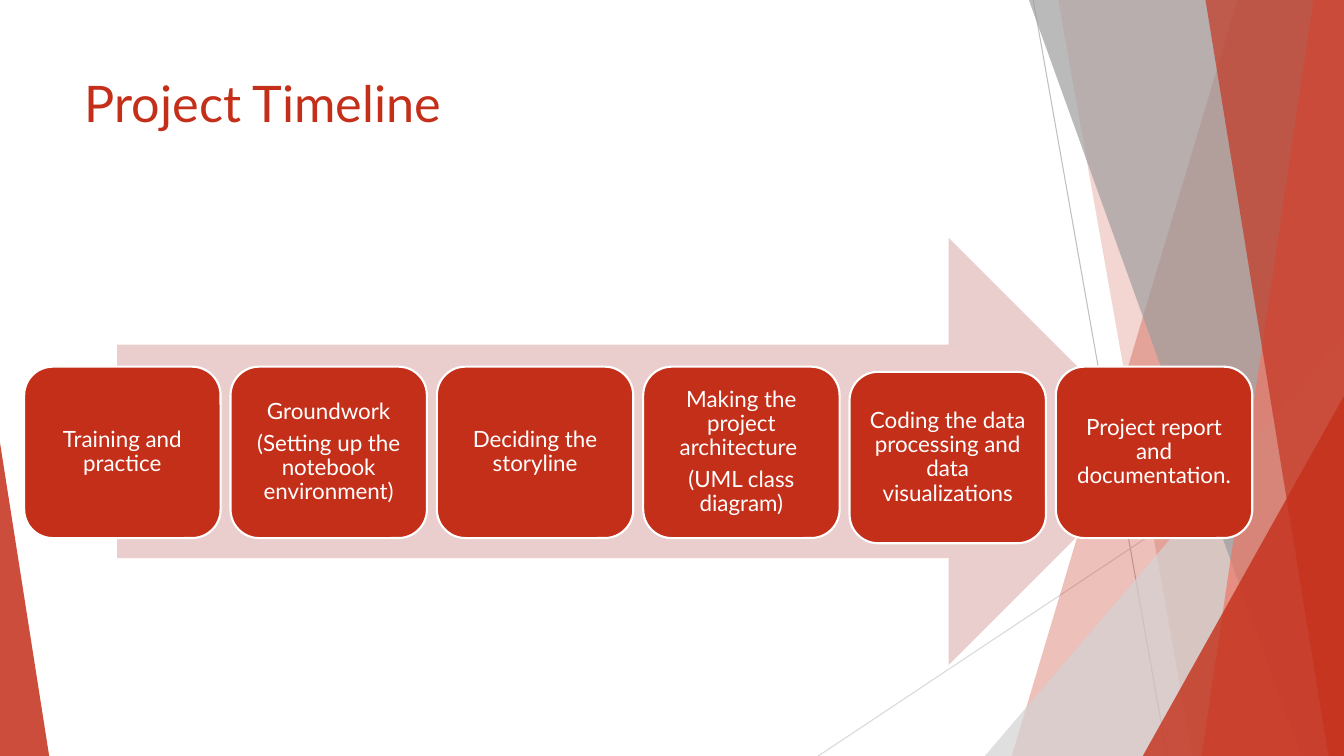
import lxml.etree
import pptx
import pptx.dml.color
import pptx.enum.shapes
import pptx.enum.text
import pptx.oxml.ns
import pptx.util

Cm = pptx.util.Cm
SHAPES = pptx.enum.shapes.MSO_SHAPE

WIDTH, HEIGHT = 33.87, 19.05
FONT = "Lato"
COLORS = {
    "red": "C42F1A",
    "salmon": "EB7766",
    "pink": "EACDCD",
    "grey": "9E9E9E",
    "light grey": "D3D3D3",
    "steep line": "BFBFBF",
    "flat line": "D9D9D9",
    "white": "FFFFFF",
}

# Facets reaching the right edge: top x, bottom x, colour, opacity in percent
BACK_FACETS = [(31.19, 25.5, "red", 30), (26.67, 30.05, "red", 20)]
FRONT_FACETS = [
    (25.93, 32.79, "grey", 70),
    (33.1, 30.28, "salmon", 70),
    (30.38, 33.48, "red", 65),
]

# Paragraphs of each step, and how far its box is lowered
STEPS = [
    (["Training and practice"], 0),
    (["Groundwork", "(Setting up the notebook environment)"], 0),
    (["Deciding the storyline"], 0),
    (["Making the project architecture ", "(UML class diagram)"], 0),
    (["Coding the data processing and data visualizations"], 0.13),
    (["Project report and documentation."], 0),
]
STEP_LEFT, STEP_TOP, STEP_PITCH = 0.61, 9.24, 5.2
STEP_WIDTH, STEP_HEIGHT = 4.95, 4.32


class TimelineSlide:
    def __init__(self, slide):
        self.slide = slide
        self.shapes = slide.shapes

    def color(self, name):
        return pptx.dml.color.RGBColor.from_string(COLORS[name])

    def paint(self, shape, color, opacity=100):
        shape.shadow.inherit = False
        shape.fill.solid()
        shape.fill.fore_color.rgb = self.color(color)
        shape.line.fill.background()
        if opacity < 100:
            fill_color = shape.element.spPr.xpath("./a:solidFill/a:srgbClr")[0]
            alpha = lxml.etree.SubElement(fill_color, pptx.oxml.ns.qn("a:alpha"))
            alpha.set("val", str(opacity * 1000))

    def format_runs(self, paragraph, size, color):
        for run in paragraph.runs:
            run.font.name = FONT
            run.font.size = pptx.util.Pt(size)
            run.font.color.rgb = self.color(color)

    def title(self, text, left, top, width, height):
        title = self.shapes.title
        title.left, title.top = Cm(left), Cm(top)
        title.width, title.height = Cm(width), Cm(height)
        frame = title.text_frame
        frame.text = text
        frame.vertical_anchor = pptx.enum.text.MSO_ANCHOR.TOP
        frame.paragraphs[0].alignment = pptx.enum.text.PP_ALIGN.LEFT
        self.format_runs(frame.paragraphs[0], 36, "red")

    def line(self, start, end, color):
        line = self.shapes.add_connector(
            pptx.enum.shapes.MSO_CONNECTOR.STRAIGHT, *map(Cm, start + end))
        line.line.color.rgb = self.color(color)
        line.line.width = pptx.util.Pt(0.75)
        lxml.etree.SubElement(line.element.spPr, pptx.oxml.ns.qn("a:effectLst"))

    def facet(self, top_x, bottom_x, color, opacity):
        """Fill the area from a slanted left side to the slide's right edge."""
        builder = self.shapes.build_freeform(Cm(top_x), 0)
        corners = [(WIDTH, 0), (WIDTH, HEIGHT), (bottom_x, HEIGHT)]
        builder.add_line_segments([(Cm(x), Cm(y)) for x, y in corners])
        self.paint(builder.convert_to_shape(), color, opacity)

    def corner(self, left, top, width, apex, color, opacity):
        """Draw a right triangle standing on the slide's bottom edge."""
        triangle = self.shapes.add_shape(
            SHAPES.ISOSCELES_TRIANGLE,
            Cm(left), Cm(top), Cm(width), Cm(HEIGHT - top))
        triangle.adjustments[0] = apex
        self.paint(triangle, color, opacity)

    def arrow(self, left, top, width, height):
        arrow = self.shapes.add_shape(
            SHAPES.RIGHT_ARROW, Cm(left), Cm(top), Cm(width), Cm(height))
        self.paint(arrow, "pink")

    def step(self, paragraphs, left, top):
        box = self.shapes.add_shape(
            SHAPES.ROUNDED_RECTANGLE,
            Cm(left), Cm(top), Cm(STEP_WIDTH), Cm(STEP_HEIGHT))
        self.paint(box, "red")
        box.line.color.rgb = self.color("white")
        box.line.width = pptx.util.Pt(1.5)
        frame = box.text_frame
        frame.word_wrap = True
        frame.vertical_anchor = pptx.enum.text.MSO_ANCHOR.MIDDLE
        # The rounded corners already inset the text by about 0.2 cm
        frame.margin_left = frame.margin_right = Cm(0.18)
        frame.margin_top = frame.margin_bottom = Cm(0.18)
        frame.text = "\n".join(paragraphs)
        for paragraph in frame.paragraphs:
            paragraph.alignment = pptx.enum.text.PP_ALIGN.CENTER
            paragraph.line_spacing = 0.9
            paragraph.space_after = pptx.util.Pt(5.6)
            self.format_runs(paragraph, 16, "white")


def main():
    deck = pptx.Presentation()
    deck.slide_width, deck.slide_height = Cm(WIDTH), Cm(HEIGHT)
    timeline = TimelineSlide(deck.slides.add_slide(deck.slide_layouts[5]))

    timeline.line((26.04, 0), (29.41, HEIGHT), "steep line")
    timeline.line((WIDTH, 10.24), (20.62, HEIGHT), "flat line")
    for facet in BACK_FACETS:
        timeline.facet(*facet)
    timeline.corner(24.82, 8.46, 9.05, 1, "light grey", 72)
    for facet in FRONT_FACETS:
        timeline.facet(*facet)
    timeline.corner(28.8, 9.98, 5.07, 1, "red", 80)
    timeline.corner(0, 11.15, 1.24, 0, "red", 85)

    timeline.title("Project Timeline", 1.88, 1.7, 23.88, 3.66)
    timeline.arrow(2.95, 5.99, 26.34, 10.77)
    for index, (paragraphs, drop) in enumerate(STEPS):
        timeline.step(paragraphs, STEP_LEFT + index * STEP_PITCH, STEP_TOP + drop)

    deck.save("out.pptx")


if __name__ == "__main__":
    main()
